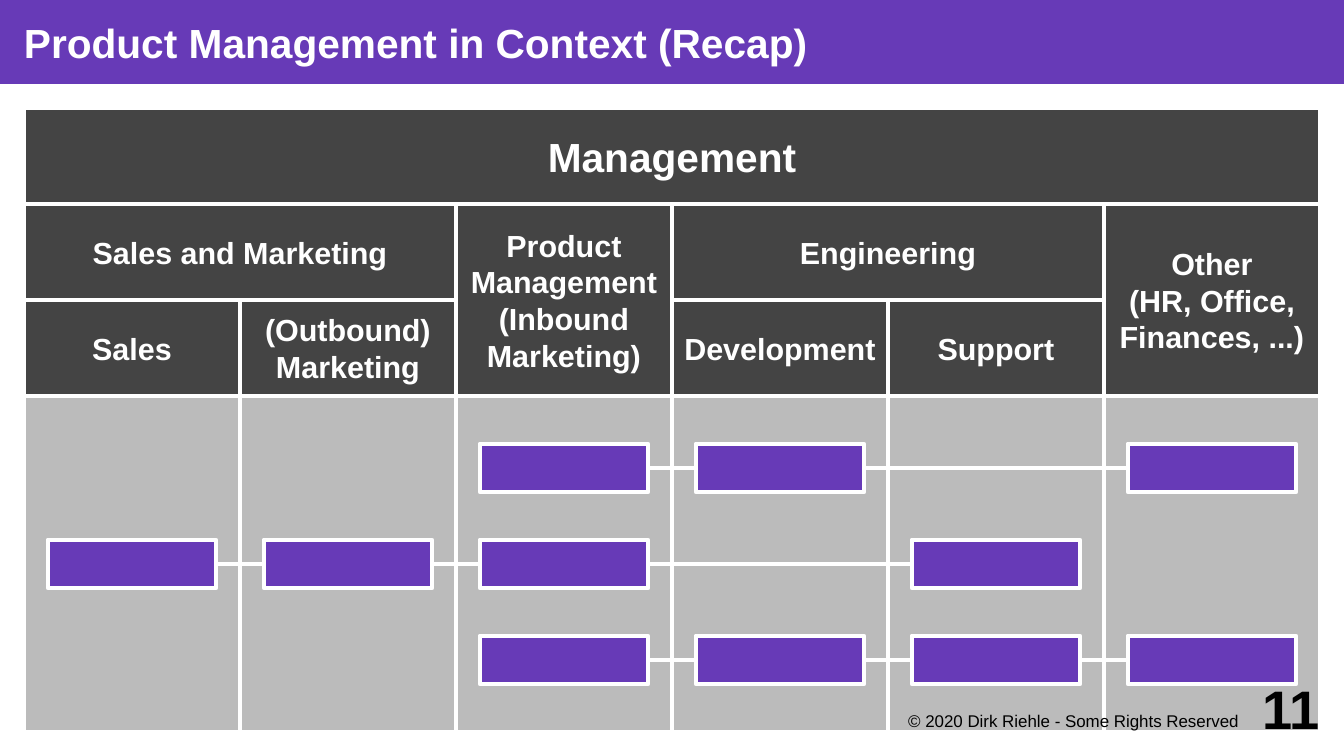
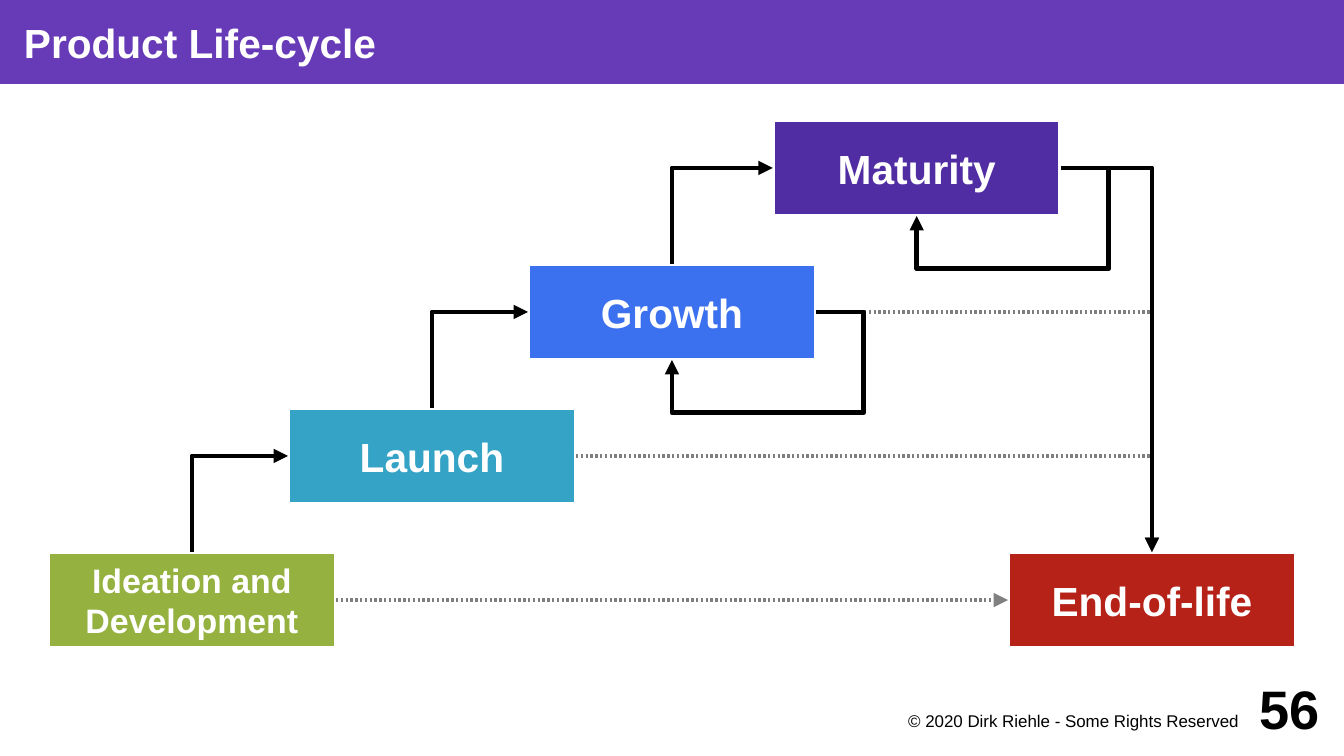
from dataclasses import dataclass

from lxml.etree import SubElement
from pptx import Presentation
from pptx.dml.color import RGBColor
from pptx.enum.shapes import MSO_CONNECTOR, MSO_SHAPE
from pptx.enum.text import MSO_ANCHOR, PP_ALIGN
from pptx.oxml.ns import qn
from pptx.util import Cm, Pt


@dataclass(frozen=True)
class Theme:
    font: str = "Arial"
    brand: str = "673AB7"
    white: str = "FFFFFF"
    black: str = "000000"
    dark: str = "444444"
    pale: str = "BBBBBB"
    grey: str = "808080"
    green: str = "95B241"
    teal: str = "34A3C5"
    blue: str = "3B70EE"
    violet: str = "502DA2"
    red: str = "B62118"
    stroke: float = 2.83
    large: int = 24
    medium: int = 20
    label: int = 18
    small: int = 10
    number: int = 32


T = Theme()
WIDTH, HEIGHT = 28, 15.75
TOP, LEFT, RIGHT, BOTTOM = 0, 1, 3, 2  # connection sites of a rectangle
COL_W, ROW_H, BODY_H = 4.5, 2, 7
GRID_X, GRID_Y = 0.5, 2.25
BAR_W, BAR_H, BAR_GAP = 3.5, 1, 2
STEP_W, STEP_H = 6, 2


def rgb(code):
    return RGBColor.from_string(code)


def write(shape, text, size, color, align=PP_ALIGN.CENTER, bold=True,
          anchor=MSO_ANCHOR.MIDDLE, insets=(0, 0, 0, 0), wrap=False):
    """Fill a shape with one paragraph per line of text."""
    frame = shape.text_frame
    frame.word_wrap = wrap
    frame.vertical_anchor = anchor
    (frame.margin_left, frame.margin_top,
     frame.margin_right, frame.margin_bottom) = map(Cm, insets)
    for i, line in enumerate(text.split("\n")):
        para = frame.add_paragraph() if i else frame.paragraphs[0]
        para.alignment = align
        run = para.add_run()
        run.text = line
        font = run.font
        font.name, font.size, font.bold = T.font, Pt(size), bold
        font.color.rgb = rgb(color)


def add_box(slide, x, y, w, h, fill, edge=T.white):
    box = slide.shapes.add_shape(MSO_SHAPE.RECTANGLE, Cm(x), Cm(y), Cm(w), Cm(h))
    box.shadow.inherit = False
    box.fill.solid()
    box.fill.fore_color.rgb = rgb(fill)
    if edge:
        box.line.color.rgb = rgb(edge)
        box.line.width = Pt(T.stroke)
    else:
        box.line.fill.background()
    return box


def add_note(slide, x, y, w, h, text, size, **style):
    note = slide.shapes.add_textbox(Cm(x), Cm(y), Cm(w), Cm(h))
    write(note, text, size, T.black, PP_ALIGN.RIGHT, wrap=True, **style)


def add_page(deck, title, number):
    """Add a slide with the title band and the footer."""
    slide = deck.slides.add_slide(deck.slide_layouts[6])
    band = add_box(slide, 0, 0, WIDTH, 1.75, T.brand, edge=None)
    write(band, title, T.large, T.white, PP_ALIGN.LEFT,
          insets=(0.5, 0, 0, 0), wrap=True)
    return slide, number


def add_footer(slide, number):
    add_note(slide, 18, 14.75, 8, 0.75,
             "© 2020 Dirk Riehle - Some Rights Reserved", T.small,
             bold=False, anchor=MSO_ANCHOR.TOP, insets=(0, 0.05, 0.2, 0))
    add_note(slide, 25.5, 14, 2, 1.5, str(number), T.number)


def style_line(line, color, dotted=False, arrow=True):
    line.line.color.rgb = rgb(color)
    line.line.width = Pt(T.stroke)
    ln = line.line._get_or_add_ln()
    if dotted:
        dash = SubElement(ln, qn("a:custDash"))
        SubElement(dash, qn("a:ds"), d="50000", sp="50000")
    SubElement(ln, qn("a:round"))
    if arrow:
        SubElement(ln, qn("a:tailEnd"), type="triangle")
    SubElement(line._element.spPr, qn("a:effectLst"))


def join(slide, start, end, sites, color=T.black, preset="bentConnector2",
         adjust=(), dotted=False):
    """Link two boxes at the given sites with the given connector preset."""
    line = slide.shapes.add_connector(MSO_CONNECTOR.ELBOW, 0, 0, 0, 0)
    line.begin_connect(start, sites[0])
    line.end_connect(end, sites[1])
    geom = line._element.spPr.find(qn("a:prstGeom"))
    geom.set("prst", preset)
    guides = geom.find(qn("a:avLst"))
    if guides is None:
        guides = SubElement(geom, qn("a:avLst"))
    for i, value in enumerate(adjust, 1):
        SubElement(guides, qn("a:gd"), name=f"adj{i}", fmla=f"val {value}")
    style_line(line, color, dotted)
    return line


def climb(slide, start, end):
    """Go up from the top of one box, then right into the next one."""
    line = join(slide, start, end, (TOP, LEFT))
    x, y, w, h = line.left, line.top, line.width, line.height
    line.left, line.top = x + (w - h) // 2, y + (h - w) // 2
    line.width, line.height = h, w
    frame = line._element.spPr.find(qn("a:xfrm"))
    for name, value in (("rot", "5400000"), ("flipH", "1"), ("flipV", "1")):
        frame.set(name, value)


def loop(slide, box):
    """Lead from the right side of a box back to its bottom."""
    join(slide, box, box, (RIGHT, BOTTOM), preset="bentConnector4",
         adjust=(-33333, 210000))


def add_cell(slide, col, row, cols, rows, text, size=T.label):
    cell = add_box(slide, GRID_X + col * COL_W, GRID_Y + row * ROW_H,
                   cols * COL_W, rows * ROW_H, T.dark)
    write(cell, text, size, T.white)


def add_chain(slide, row, cols):
    """Draw the bars of one row, strung on a line."""
    lefts = [GRID_X + 0.5 + col * COL_W for col in cols]
    top = GRID_Y + 3 * ROW_H + 1 + row * BAR_GAP
    mid = Cm(top + BAR_H / 2)
    line = slide.shapes.add_connector(
        MSO_CONNECTOR.STRAIGHT, Cm(lefts[0] + BAR_W / 2), mid,
        Cm(lefts[-1] + BAR_W / 2), mid)
    style_line(line, T.white, arrow=False)
    for left in lefts:
        add_box(slide, left, top, BAR_W, BAR_H, T.brand)


def draw_context(deck):
    slide, number = add_page(deck, "Product Management in Context (Recap)", 11)
    for col in range(6):
        add_box(slide, GRID_X + col * COL_W, GRID_Y + 3 * ROW_H,
                COL_W, BODY_H, T.pale)
    for cell in (
        (0, 0, 6, 1, "Management", T.large),
        (0, 1, 2, 1, "Sales and Marketing"),
        (2, 1, 1, 2, "Product\nManagement\n(Inbound\nMarketing)"),
        (3, 1, 2, 1, "Engineering"),
        (5, 1, 1, 2, "Other\n(HR, Office,\nFinances, ...)"),
        (0, 2, 1, 1, "Sales"),
        (1, 2, 1, 1, "(Outbound)\nMarketing"),
        (3, 2, 1, 1, "Development"),
        (4, 2, 1, 1, "Support"),
    ):
        add_cell(slide, *cell)
    for row, cols in enumerate(((2, 3, 5), (0, 1, 2, 4), (2, 3, 4, 5))):
        add_chain(slide, row, cols)
    add_footer(slide, number)


def add_step(slide, x, y, fill, text, size=T.large):
    step = add_box(slide, x, y, STEP_W, STEP_H, fill)
    write(step, text, size, T.white)
    return step


def draw_cycle(deck):
    slide, number = add_page(deck, "Product Life-cycle", 56)
    steps = [add_step(slide, *step) for step in (
        (1, 11.5, T.green, "Ideation and\nDevelopment", T.medium),
        (6, 8.5, T.teal, "Launch"),
        (11, 5.5, T.blue, "Growth"),
        (16.1, 2.5, T.violet, "Maturity"),
        (21, 11.5, T.red, "End-of-life"),
    )]
    idea, launch, growth, mature, end = steps
    join(slide, idea, end, (RIGHT, LEFT), T.grey, "straightConnector1",
         dotted=True)
    for step in (launch, growth):
        join(slide, step, end, (RIGHT, TOP), T.grey, dotted=True)
    join(slide, mature, end, (RIGHT, TOP))
    for low, high in zip(steps[:3], steps[1:4]):
        climb(slide, low, high)
    for step in (growth, mature):
        loop(slide, step)
    add_footer(slide, number)


def main():
    deck = Presentation()
    deck.slide_width, deck.slide_height = Cm(WIDTH), Cm(HEIGHT)
    draw_context(deck)
    draw_cycle(deck)
    deck.save("out.pptx")


if __name__ == "__main__":
    main()
